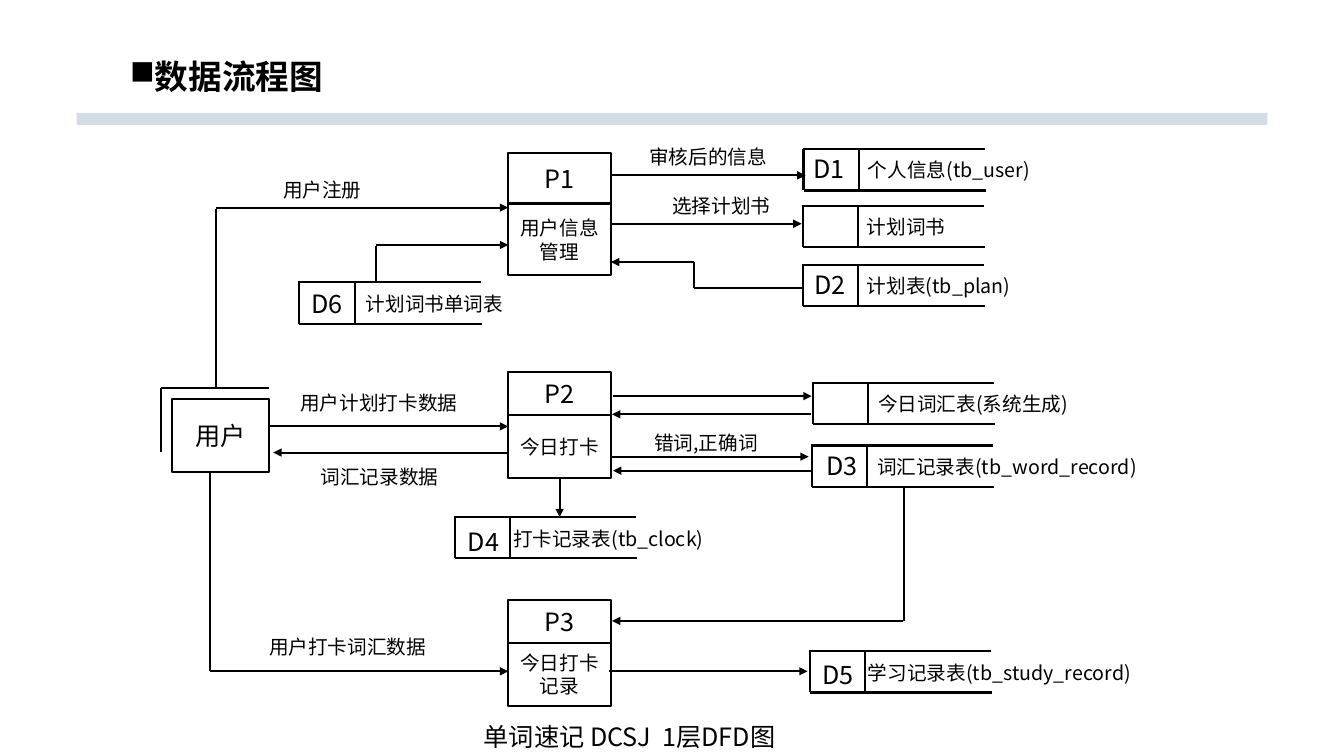
import pptx
import pptx.util
import pptx.dml.color
import pptx.enum.shapes
import pptx.enum.text
import pptx.oxml.ns
import lxml.etree

PX = 9144
FONT = "Noto Sans CJK SC"
BLACK = pptx.dml.color.RGBColor(0x00, 0x00, 0x00)
WHITE = pptx.dml.color.RGBColor(0xFF, 0xFF, 0xFF)
BAND = pptx.dml.color.RGBColor(0xD6, 0xDC, 0xE5)
RECT = pptx.enum.shapes.MSO_SHAPE.RECTANGLE
LINE = pptx.enum.shapes.MSO_CONNECTOR.STRAIGHT
ALIGN = pptx.enum.text.PP_ALIGN
ANCHOR = pptx.enum.text.MSO_ANCHOR
qn = pptx.oxml.ns.qn

deck = pptx.Presentation()
deck.slide_width = 1333 * PX
deck.slide_height = 750 * PX
slide = deck.slides.add_slide(deck.slide_layouts[6])
shapes = slide.shapes


def write(x, y, w, h, text, size, box=False):
    place = [n * PX for n in (x, y, w, h)]
    if box:
        shape = shapes.add_shape(RECT, *place)
        shape.shadow.inherit = False
        shape.fill.solid()
        shape.fill.fore_color.rgb = WHITE
        shape.line.color.rgb = BLACK
        shape.line.width = pptx.util.Pt(1.5)
    else:
        shape = shapes.add_textbox(*place)
    frame = shape.text_frame
    frame.word_wrap = True
    frame.text = text
    frame.vertical_anchor = ANCHOR.MIDDLE if box else ANCHOR.TOP
    para = frame.paragraphs[0]
    para.alignment = ALIGN.CENTER if box else ALIGN.LEFT
    font = para.runs[0].font
    font.size = pptx.util.Pt(size)
    font.name = FONT
    font.color.rgb = BLACK
    east = lxml.etree.SubElement(para.runs[0]._r.rPr, qn("a:ea"))
    east.set("typeface", FONT)
    return frame


def link(x1, y1, x2, y2, arrow=False):
    line = shapes.add_connector(LINE, x1 * PX, y1 * PX, x2 * PX, y2 * PX)
    line.line.color.rgb = BLACK
    line.line.width = pptx.util.Pt(1.5)
    if arrow:
        tail = lxml.etree.SubElement(line.line._get_or_add_ln(), qn("a:tailEnd"))
        tail.set("type", "triangle")
    lxml.etree.SubElement(line._element.spPr, qn("a:effectLst"))


band = shapes.add_shape(RECT, 76 * PX, 112 * PX, 1181 * PX, 12 * PX)
band.shadow.inherit = False
band.fill.solid()
band.fill.fore_color.rgb = BAND
band.line.fill.background()

title = write(76, 0, 1181, 101, "数据流程图", 24)
title.vertical_anchor = ANCHOR.BOTTOM
head = title.paragraphs[0]
head.line_spacing = 0.9
head.runs[0].font.bold = True
props = head._p.get_or_add_pPr()
props.set("marL", "0")
props.set("indent", str(43 * PX))
lxml.etree.SubElement(props, qn("a:buChar")).set("char", "■")

write(470, 711, 667, 40, "单词速记 DCSJ  1层DFD图", 18)

write(171, 396, 96, 72, "用户", 18, True)
link(160, 385, 267, 385)
link(160, 385, 160, 448)

steps = [
    ("P1", "用户信息管理", 152, 50, 71),
    ("P2", "今日打卡", 369, 43, 62),
    ("P3", "今日打卡记录", 595, 43, 62),
]
for code, name, y, top, low in steps:
    write(504, y + top, 102, low, name, 14, True)
    write(504, y, 102, top, code, 18, True)

stores = [
    ("D1", "个人信息(tb_user)", 797, 148, 0, -1, 54, 4, 194),
    ("", "计划词书", 796, 204, 0, 0, 54, 4, 194),
    ("D2", "计划表(tb_plan)", 796, 263, 2, -1, 54, 4, 194),
    ("", "今日词汇表(系统生成)", 806, 380, 0, 0, 55, 4, 289),
    ("D3", "词汇记录表(tb_word_record)", 805, 442, 5, 0, 55, 4, 289),
    ("D5", "学习记录表(tb_study_record)", 803, 646, 3, 3, 48, 5, 322),
    ("D6", "计划词书单词表", 297, 280, 2, 1, 56, 5, 194),
    ("D4", "打卡记录表(tb_clock)", 451, 513, 3, 4, 48, 5, 322),
]
for code, name, x, y, dx, dy, nx, ny, wide in stores:
    link(x - 1, y, x + 180, y)
    link(x, y + 41, x + 181, y + 41)
    for side in (x, x + 55):
        link(side, y, side, y + 41)
    write(x + nx, y + ny, wide, 31, name, 14)
    if code:
        write(x + dx, y + dy, 55, 37, code, 18)

plain = [
    (214, 207, 214, 385),
    (688, 286, 797, 286),
    (688, 286, 688, 260),
    (208, 467, 208, 666),
    (373, 280, 373, 244),
    (897, 483, 897, 616),
]
for ends in plain:
    link(*ends)

flows = [
    (214, 206, 504, 206),
    (606, 174, 799, 174),
    (606, 222, 795, 222),
    (688, 260, 606, 260),
    (373, 243, 504, 243),
    (267, 423, 504, 423),
    (503, 449, 271, 449),
    (608, 393, 805, 393),
    (804, 411, 607, 411),
    (605, 453, 802, 453),
    (805, 467, 608, 467),
    (555, 474, 555, 513),
    (896, 616, 607, 616),
    (208, 666, 504, 666),
    (604, 666, 801, 666),
]
for ends in flows:
    link(*ends, arrow=True)

labels = [
    ("用户注册", 271, 172, 133),
    ("审核后的信息", 634, 139, 154),
    ("选择计划书", 657, 187, 154),
    ("用户计划打卡数据", 288, 383, 195),
    ("词汇记录数据", 308, 456, 195),
    ("错词,正确词", 639, 423, 154),
    ("用户打卡词汇数据", 257, 625, 195),
]
for name, x, y, wide in labels:
    write(x, y, wide, 31, name, 14)

deck.save("out.pptx")
